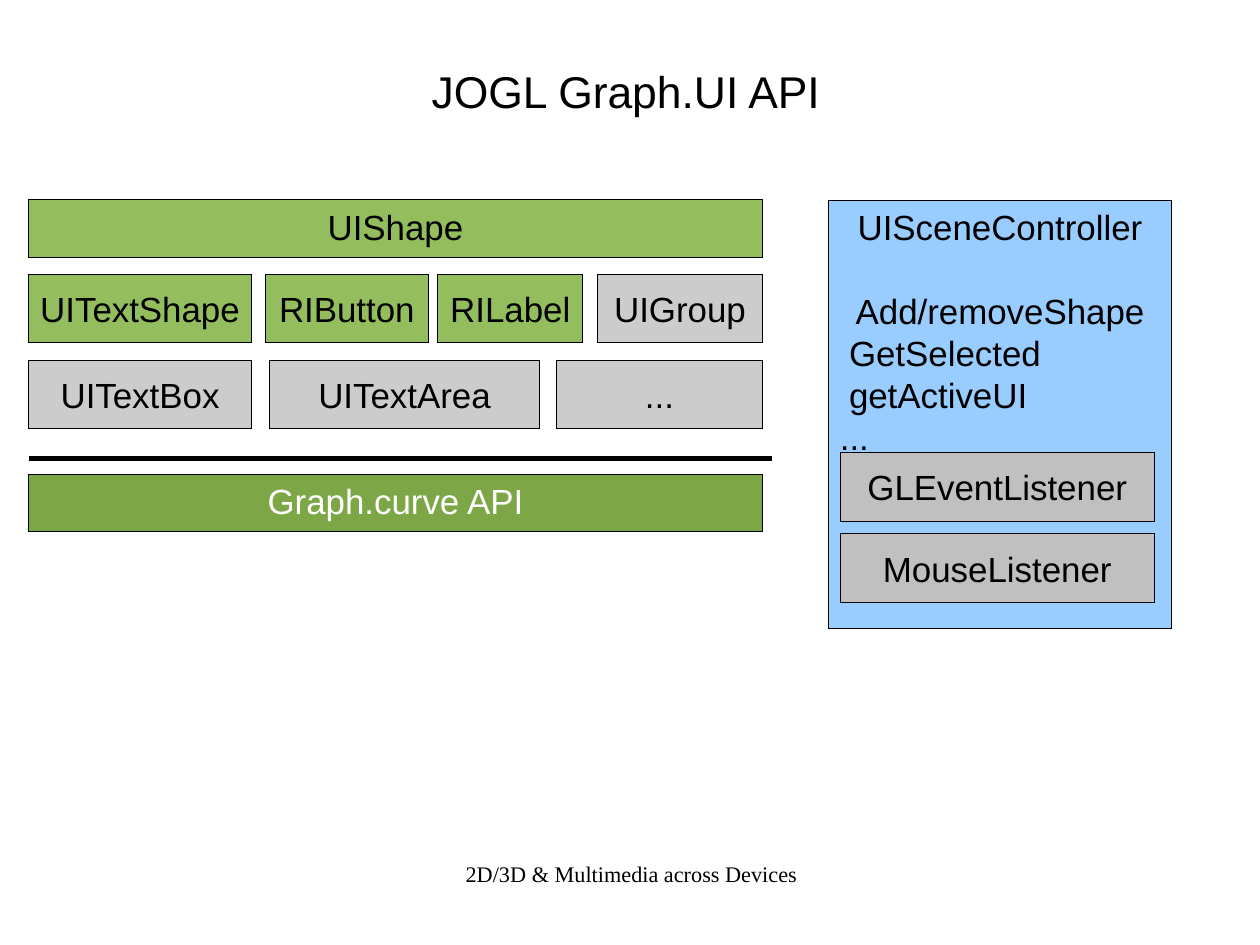
from dataclasses import dataclass
from lxml.etree import SubElement
from pptx import Presentation
from pptx.dml.color import RGBColor
from pptx.enum.shapes import MSO_CONNECTOR, MSO_SHAPE
from pptx.enum.text import MSO_ANCHOR, PP_ALIGN
from pptx.oxml.ns import qn
from pptx.util import Cm, Inches, Pt


@dataclass(frozen=True)
class Theme:
    ink: str = "000000"
    paper: str = "FFFFFF"
    green: str = "94BD5E"
    deep_green: str = "7DA647"
    light_gray: str = "CCCCCC"
    gray: str = "C0C0C0"
    blue: str = "99CCFF"
    font: str = "Arial"
    footer_font: str = "Times New Roman"
    title_size: int = 28
    label_size: int = 22
    footer_size: int = 14
    rule_width: float = 2.89


theme = Theme()

TITLE = "JOGL Graph.UI API"
FOOTER = "2D/3D & Multimedia across Devices"
BASE_CLASS = "UIShape"
FOUNDATION = "Graph.curve API"
COMPONENT_ROWS = [
    [
        ("UITextShape", 0.25, 1.95, theme.green),
        ("RIButton", 2.32, 1.43, theme.green),
        ("RILabel", 3.83, 1.27, theme.green),
        ("UIGroup", 5.23, 1.44, theme.light_gray),
    ],
    [
        ("UITextBox", 0.25, 1.95, theme.light_gray),
        ("UITextArea", 2.36, 2.36, theme.light_gray),
        ("...", 4.87, 1.8, theme.light_gray),
    ],
]
CONTROLLER_LINES = [
    ("UISceneController", PP_ALIGN.CENTER, 0, 0),
    ("Add/removeShape", PP_ALIGN.CENTER, 26.4, 0),
    ("GetSelected", PP_ALIGN.LEFT, 0, 0.08),
    ("getActiveUI", PP_ALIGN.LEFT, 0, 0.08),
    ("...", PP_ALIGN.LEFT, 0, 0),
]
LISTENERS = ["GLEventListener", "MouseListener"]

SLIDE_WIDTH, SLIDE_HEIGHT = Cm(28), Cm(21)
LEFT, TOP = 0.25, 1.75
STACK_WIDTH, BAR_HEIGHT = 6.42, 0.5
BOX_HEIGHT, ROW_PITCH = 0.6, 0.75
FIRST_ROW = TOP + BAR_HEIGHT + ROW_PITCH - BOX_HEIGHT
RULE_TOP, RULE_WIDTH = 4.01, 6.5
FOUNDATION_TOP = 4.15
CONTROLLER_LEFT, CONTROLLER_WIDTH, CONTROLLER_HEIGHT = 7.25, 3, 3.75
LISTENER_TOP, LISTENER_PITCH, LISTENER_WIDTH = 3.96, 0.71, 2.75


def write_text(shape, lines, font=theme.font, size=theme.label_size, color=theme.ink,
               anchor=MSO_ANCHOR.MIDDLE, margins=(0.1, 0.05)):
    frame = shape.text_frame
    frame.word_wrap = True
    frame.vertical_anchor = anchor
    frame.margin_left = frame.margin_right = Inches(margins[0])
    frame.margin_top = frame.margin_bottom = Inches(margins[1])
    if isinstance(lines, str):
        lines = [(lines, PP_ALIGN.CENTER, 0, 0)]
    for index, (text, alignment, space_before, indent) in enumerate(lines):
        paragraph = frame.paragraphs[0] if index == 0 else frame.add_paragraph()
        paragraph.text = text
        paragraph.alignment = alignment
        if space_before:
            paragraph.space_before = Pt(space_before)
        if indent:
            paragraph._p.get_or_add_pPr().set("marL", str(Inches(indent)))
        paragraph.font.name = font
        paragraph.font.size = Pt(size)
        paragraph.font.color.rgb = RGBColor.from_string(color)


def add_box(slide, lines, left, top, width, height, fill, **text_format):
    shape = slide.shapes.add_shape(
        MSO_SHAPE.RECTANGLE, Inches(left), Inches(top), Inches(width), Inches(height))
    shape.shadow.inherit = False
    shape.fill.solid()
    shape.fill.fore_color.rgb = RGBColor.from_string(fill)
    shape.line.color.rgb = RGBColor.from_string(theme.ink)
    shape._element.spPr.find(qn("a:ln")).set("w", "0")
    write_text(shape, lines, **text_format)


def add_rule(slide):
    rule = slide.shapes.add_connector(
        MSO_CONNECTOR.STRAIGHT, Inches(LEFT), Inches(RULE_TOP),
        Inches(LEFT + RULE_WIDTH), Inches(RULE_TOP))
    rule.line.color.rgb = RGBColor.from_string(theme.ink)
    rule.line.width = Pt(theme.rule_width)
    SubElement(rule._element.spPr, qn("a:effectLst"))


def main():
    presentation = Presentation()
    presentation.slide_width = SLIDE_WIDTH
    presentation.slide_height = SLIDE_HEIGHT
    slide = presentation.slides.add_slide(presentation.slide_layouts[5])

    title = slide.shapes.title
    title.left, title.top = Inches(0.45), Inches(0.38)
    title.width, title.height = Inches(10.05), Inches(0.82)
    write_text(title, TITLE, size=theme.title_size, margins=(0, 0))

    add_box(slide, BASE_CLASS, LEFT, TOP, STACK_WIDTH, BAR_HEIGHT, theme.green,
            anchor=MSO_ANCHOR.TOP)
    for row, components in enumerate(COMPONENT_ROWS):
        for label, left, width, fill in components:
            add_box(slide, label, left, FIRST_ROW + row * ROW_PITCH, width, BOX_HEIGHT, fill)
    add_rule(slide)
    add_box(slide, FOUNDATION, LEFT, FOUNDATION_TOP, STACK_WIDTH, BAR_HEIGHT,
            theme.deep_green, color=theme.paper, anchor=MSO_ANCHOR.TOP)

    add_box(slide, CONTROLLER_LINES, CONTROLLER_LEFT, TOP, CONTROLLER_WIDTH,
            CONTROLLER_HEIGHT, theme.blue, anchor=MSO_ANCHOR.TOP)
    for row, listener in enumerate(LISTENERS):
        add_box(slide, listener, CONTROLLER_LEFT + 0.1, LISTENER_TOP + row * LISTENER_PITCH,
                LISTENER_WIDTH, BOX_HEIGHT, theme.gray)

    footer = slide.shapes.add_textbox(Inches(3.3), Inches(7.53), Inches(4.45), Inches(0.57))
    write_text(footer, FOOTER, font=theme.footer_font, size=theme.footer_size,
               anchor=MSO_ANCHOR.TOP, margins=(0, 0))
    presentation.save("out.pptx")


if __name__ == "__main__":
    main()
